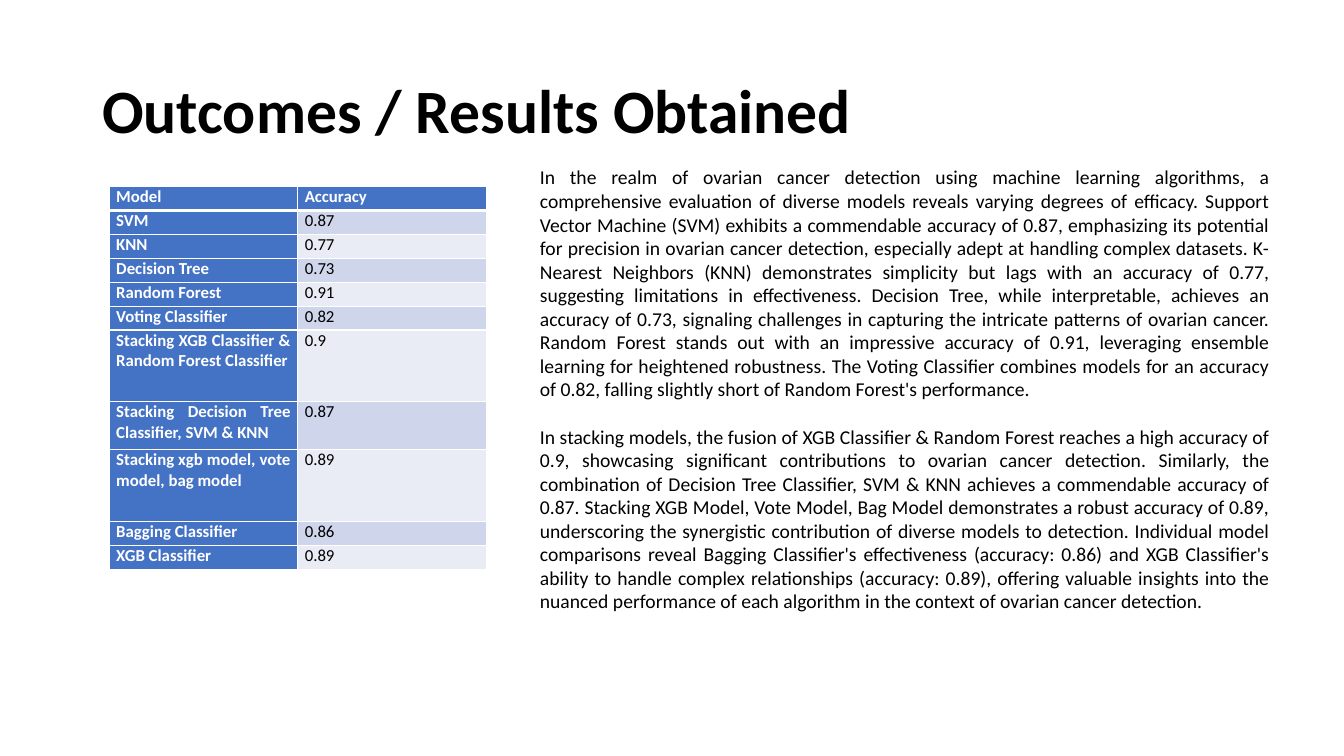
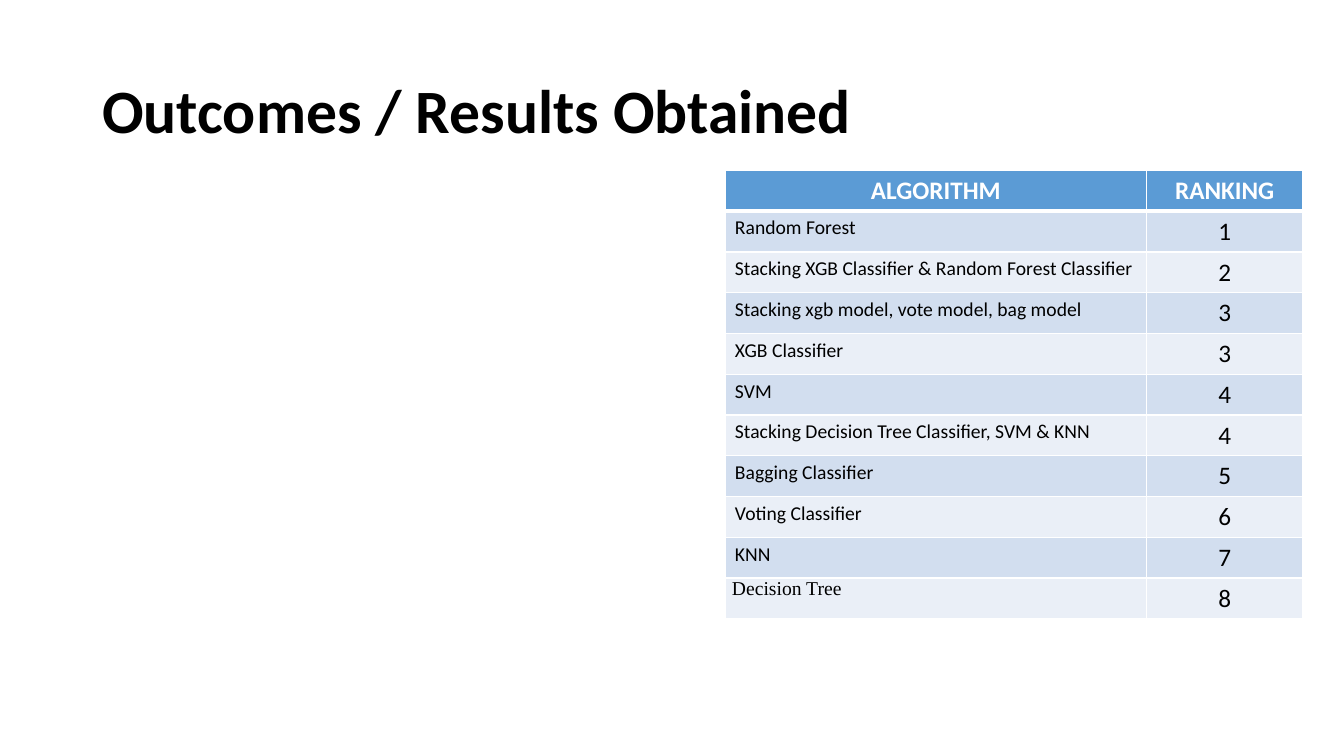
from dataclasses import dataclass, replace

from lxml.etree import SubElement
from pptx import Presentation
from pptx.dml.color import RGBColor
from pptx.enum.text import MSO_ANCHOR, PP_ALIGN as Align
from pptx.oxml.ns import qn
from pptx.util import Inches, Pt

BLACK = RGBColor(0x00, 0x00, 0x00)
WHITE = RGBColor(0xFF, 0xFF, 0xFF)
ROYAL = RGBColor(0x44, 0x72, 0xC4)
ROYAL_BANDS = RGBColor(0xCF, 0xD5, 0xEA), RGBColor(0xE9, 0xEB, 0xF5)
SKY = RGBColor(0x5B, 0x9B, 0xD5)
SKY_BANDS = RGBColor(0xD2, 0xDE, 0xEF), RGBColor(0xEA, 0xEF, 0xF7)

COLUMNS, ROWS = 160, 90
UNIT = Inches(7.5) // ROWS
TITLE_BOX = 11, 4.8, 138, 17.4
ACCURACY_BOX = 13, 22.2, 44.9, 45.6
DISCUSSION_BOX = 63.1, 19.1, 89.3, 55
RANKING_BOX = 86.3, 20.3, 68.8, 53.4

TITLE = "Outcomes / Results Obtained"
ACCURACY = [
    ("Model", "Accuracy", 1),
    ("SVM", "0.87", 1),
    ("KNN", "0.77", 1),
    ("Decision Tree", "0.73", 1),
    ("Random Forest", "0.91", 1),
    ("Voting Classifier", "0.82", 1),
    ("Stacking XGB Classifier & Random Forest Classifier", "0.9", 3),
    ("Stacking Decision Tree Classifier, SVM & KNN", "0.87", 2),
    ("Stacking xgb model, vote model, bag model", "0.89", 3),
    ("Bagging Classifier", "0.86", 1),
    ("XGB Classifier", "0.89", 1),
]
RANKING = [
    ("ALGORITHM", "RANKING"),
    ("Random Forest", "1"),
    ("Stacking XGB Classifier & Random Forest Classifier", "2"),
    ("Stacking xgb model, vote model, bag model", "3"),
    ("XGB Classifier", "3"),
    ("SVM", "4"),
    ("Stacking Decision Tree Classifier, SVM & KNN", "4"),
    ("Bagging Classifier", "5"),
    ("Voting Classifier", "6"),
    ("KNN", "7"),
    ("Decision Tree", "8"),
]
SINGLE_MODELS = [
    "In the realm of ovarian cancer detection using machine learning algorithms, "
    "a comprehensive evaluation of diverse models reveals varying degrees of efficacy.",
    "Support Vector Machine (SVM) exhibits a commendable accuracy of 0.87, emphasizing "
    "its potential for precision in ovarian cancer detection, especially adept at "
    "handling complex datasets.",
    "K-Nearest Neighbors (KNN) demonstrates simplicity but lags with an accuracy of "
    "0.77, suggesting limitations in effectiveness.",
    "Decision Tree, while interpretable, achieves an accuracy of 0.73, signaling "
    "challenges in capturing the intricate patterns of ovarian cancer.",
    "Random Forest stands out with an impressive accuracy of 0.91, leveraging ensemble "
    "learning for heightened robustness.",
    "The Voting Classifier combines models for an accuracy of 0.82, falling slightly "
    "short of Random Forest's performance.",
]
STACKED_MODELS = [
    "In stacking models, the fusion of XGB Classifier & Random Forest reaches a high "
    "accuracy of 0.9, showcasing significant contributions to ovarian cancer detection.",
    "Similarly, the combination of Decision Tree Classifier, SVM & KNN achieves a "
    "commendable accuracy of 0.87.",
    "Stacking XGB Model, Vote Model, Bag Model demonstrates a robust accuracy of 0.89, "
    "underscoring the synergistic contribution of diverse models to detection.",
    "Individual model comparisons reveal Bagging Classifier's effectiveness (accuracy: "
    "0.86) and XGB Classifier's ability to handle complex relationships (accuracy: "
    "0.89), offering valuable insights into the nuanced performance of each algorithm "
    "in the context of ovarian cancer detection.",
]


@dataclass(frozen=True)
class Look:
    """Describe how a piece of text is set."""

    size: int
    color: RGBColor = BLACK
    bold: bool = False
    align: Align = Align.LEFT
    font: str = "Calibri"
    tight: bool = False


HEADLINE = Look(44, bold=True)
PROSE = Look(14, align=Align.JUSTIFY)
SCORE = Look(12, align=Align.JUSTIFY, tight=True)
MODEL = replace(SCORE, color=WHITE, bold=True)
RANK = Look(18, align=Align.CENTER)
RANK_HEAD = replace(RANK, color=WHITE, bold=True)
ALGORITHM = Look(14)
LAST_ALGORITHM = replace(PROSE, font="Times New Roman", tight=True)


def to_lengths(box):
    """Turn grid columns and rows into slide lengths."""
    return [round(part * UNIT) for part in box]


def set_para(para, text, look):
    """Write text into a paragraph in the given look."""
    para.text = text
    para.alignment = look.align
    font = para.font
    font.name, font.size, font.bold = look.font, Pt(look.size), look.bold
    font.color.rgb = look.color


def add_text(page, box, texts, look):
    """Add a wrapped text box and return its frame."""
    frame = page.shapes.add_textbox(*to_lengths(box)).text_frame
    frame.word_wrap = True
    for index, text in enumerate(texts):
        para = frame.add_paragraph() if index else frame.paragraphs[0]
        set_para(para, text, look)
    return frame


def add_title(page, box):
    """Add the shared slide title."""
    frame = add_text(page, box, [TITLE], HEADLINE)
    frame.vertical_anchor = MSO_ANCHOR.MIDDLE
    frame.paragraphs[0].line_spacing = 0.9


def add_discussion(page, box):
    """Add the justified commentary."""
    texts = [" ".join(sentences) for sentences in (SINGLE_MODELS, STACKED_MODELS)]
    frame = add_text(page, box, texts, PROSE)
    frame.paragraphs[0].space_after = Pt(17)


def set_borders(cell, row):
    """Draw white cell borders, thick below the header row."""
    widths = {"a:lnL": 1, "a:lnR": 1, "a:lnT": 3 if row == 1 else 1, "a:lnB": 1 if row else 3}
    properties = cell._tc.get_or_add_tcPr()
    for index, (tag, width) in enumerate(widths.items()):
        line = SubElement(properties, qn(tag), w=str(int(Pt(width))))
        fill = SubElement(line, qn("a:solidFill"))
        SubElement(fill, qn("a:srgbClr"), val=str(WHITE))
        properties.insert(index, line)


def set_cell(cell, text, look, fill, row):
    """Fill one table cell with text, colour and borders."""
    cell.fill.solid()
    cell.fill.fore_color.rgb = fill
    set_borders(cell, row)
    if look.tight:
        cell.margin_left = cell.margin_right = Inches(0.07)
        cell.margin_top = cell.margin_bottom = 0
    set_para(cell.text_frame.paragraphs[0], text, look)


def add_grid(page, box, column_shares, row_units):
    """Add a table whose columns and rows share out its box."""
    left, top, width, height = to_lengths(box)
    shape = page.shapes.add_table(len(row_units), len(column_shares), left, top, width, height)
    table = shape.table
    table.horz_banding = False
    for column, share in zip(table.columns, column_shares):
        column.width = round(width * share)
    for row, units in zip(table.rows, row_units):
        row.height = round(height * units / sum(row_units))
    return table


def add_accuracy(page, box):
    """Add the table of model accuracies."""
    table = add_grid(page, box, (0.5, 0.5), [units for _, _, units in ACCURACY])
    for row, (model, score, _) in enumerate(ACCURACY):
        set_cell(table.cell(row, 0), model, MODEL, ROYAL, row)
        look, fill = (SCORE, ROYAL_BANDS[(row - 1) % 2]) if row else (MODEL, ROYAL)
        set_cell(table.cell(row, 1), score, look, fill, row)


def add_ranking(page, box):
    """Add the table that ranks the algorithms."""
    table = add_grid(page, box, (0.73, 0.27), [1] * len(RANKING))
    last = len(RANKING) - 1
    for row, texts in enumerate(RANKING):
        looks = (LAST_ALGORITHM if row == last else ALGORITHM, RANK) if row else (RANK_HEAD, RANK_HEAD)
        fill = SKY_BANDS[(row - 1) % 2] if row else SKY
        for column, (text, look) in enumerate(zip(texts, looks)):
            set_cell(table.cell(row, column), text, look, fill, row)


def add_page(deck):
    """Add a blank slide with the shared title."""
    page = deck.slides.add_slide(deck.slide_layouts[6])
    add_title(page, TITLE_BOX)
    return page


def main():
    """Build and save the deck."""
    deck = Presentation()
    deck.slide_width, deck.slide_height = COLUMNS * UNIT, ROWS * UNIT
    accuracy_page = add_page(deck)
    add_accuracy(accuracy_page, ACCURACY_BOX)
    add_discussion(accuracy_page, DISCUSSION_BOX)
    add_ranking(add_page(deck), RANKING_BOX)
    deck.save("out.pptx")


if __name__ == "__main__":
    main()
